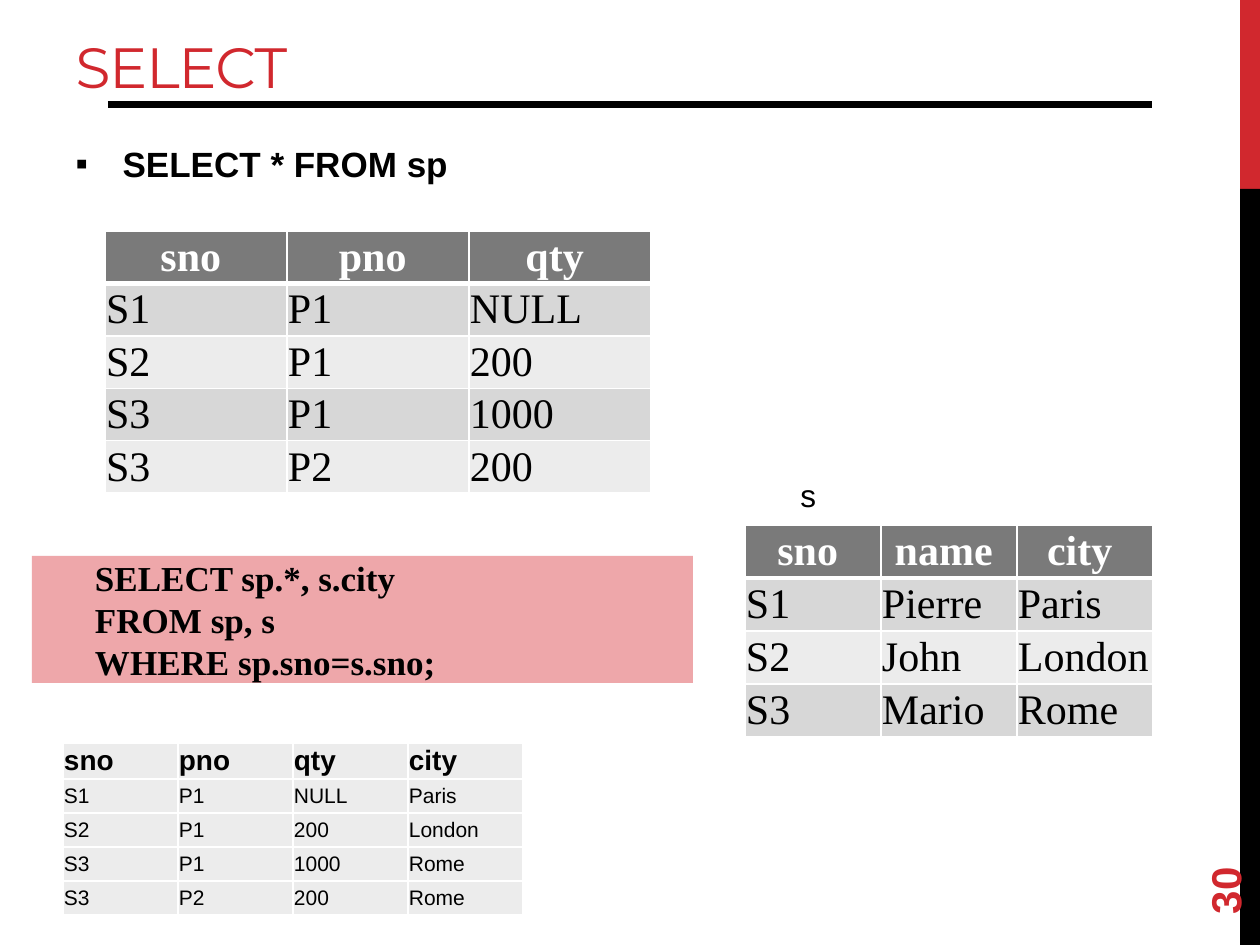
import lxml.etree
import pptx
import pptx.util
import pptx.dml.color
import pptx.oxml.ns
from pptx.enum.shapes import MSO_CONNECTOR, MSO_SHAPE
from pptx.enum.text import MSO_ANCHOR, MSO_AUTO_SIZE, PP_ALIGN

# Content
TITLE = "SELECT"
BULLET = "SELECT * FROM sp"
QUERY = ["SELECT sp.*, s.city", "FROM sp, s", "WHERE sp.sno=s.sno;"]
LABEL = "s"
NUMBER = "30"
SP = [("sno ", "pno ", "qty "),
      ("S1", "P1", "NULL"),
      ("S2", "P1", "200"),
      ("S3", "P1", "1000"),
      ("S3", "P2", "200")]
S = [("sno ", "name ", "city "),
     ("S1", "Pierre", "Paris"),
     ("S2", "John", "London"),
     ("S3", "Mario", "Rome")]
JOINED = [("sno ", "pno ", "qty ", "city "),
          ("S1 ", "P1 ", "NULL ", "Paris "),
          ("S2 ", "P1 ", "200 ", "London "),
          ("S3 ", "P1 ", "1000 ", "Rome "),
          ("S3 ", "P2 ", "200 ", "Rome ")]

# Look
RED, BLACK, WHITE = "D1282E", "000000", "FFFFFF"
PINK, HEAD, DARK, LIGHT = "EEA7AA", "7A7A7A", "D7D7D7", "ECECEC"
SANS, SERIF = "Arial", "Times New Roman"
GRAY = dict(head=(SERIF, 24, WHITE, True), body=(SERIF, 24, BLACK, False),
            top=HEAD, bands=(DARK, LIGHT), rule=3,
            aligns=(PP_ALIGN.CENTER, PP_ALIGN.LEFT))
PLAIN = dict(head=(SANS, 16, BLACK, True), body=(SANS, 12, BLACK, False),
             top=LIGHT, bands=(LIGHT, LIGHT), rule=1,
             aligns=(PP_ALIGN.JUSTIFY, PP_ALIGN.JUSTIFY))
# rows, left, top, column width, head height, row height, look
TABLES = [(SP, 105, 231, 182, 50, 50, GRAY),
          (S, 745, 525, 136, 53, 53, GRAY),
          (JOINED, 63, 743, 115, 36, 34, PLAIN)]


def px(n):
    return pptx.util.Emu(round(n * 914400 / 126))


def rgb(code):
    return pptx.dml.color.RGBColor.from_string(code)


def style(para, face, size, color, bold=False):
    font = para.font
    font.name, font.size, font.bold = face, pptx.util.Pt(size), bold
    font.color.rgb = rgb(color)


def place(shape, *box):
    shape.left, shape.top, shape.width, shape.height = map(px, box)


def rect(slide, color, *box):
    shape = slide.shapes.add_shape(MSO_SHAPE.RECTANGLE, *map(px, box))
    shape.shadow.inherit = False
    shape.fill.solid()
    shape.fill.fore_color.rgb = rgb(color)
    shape.line.fill.background()
    return shape


def label(slide, text, look, *box):
    shape = slide.shapes.add_textbox(*map(px, box))
    shape.text_frame.word_wrap = True
    para = shape.text_frame.paragraphs[0]
    para.text = text
    style(para, *look)
    return shape


def node(parent, tag, **attrs):
    return lxml.etree.SubElement(parent, pptx.oxml.ns.qn(tag), attrs)


def borders(cell, widths):
    props = cell._tc.get_or_add_tcPr()
    for spot, (side, width) in enumerate(zip("LRTB", widths)):
        line = node(props, "a:ln" + side, w=str(pptx.util.Pt(width)))
        node(node(line, "a:solidFill"), "a:srgbClr", val=WHITE)
        props.insert(spot, line)


def grid(slide, rows, left, top, wide, first, high, look):
    count = len(rows[0])
    box = left, top, wide * count, first + high * (len(rows) - 1)
    table = slide.shapes.add_table(len(rows), count, *map(px, box)).table
    for col in table.columns:
        col.width = px(wide)
    for r, row in enumerate(rows):
        table.rows[r].height = px(high if r else first)
        fill = look["bands"][(r - 1) % 2] if r else look["top"]
        over = look["rule"] if r == 1 else 1
        under = look["rule"] if r == 0 else 1
        for c, text in enumerate(row):
            cell = table.cell(r, c)
            cell.fill.solid()
            cell.fill.fore_color.rgb = rgb(fill)
            cell.vertical_anchor = MSO_ANCHOR.MIDDLE
            cell.margin_left = cell.margin_right = px(1)
            cell.margin_top = cell.margin_bottom = px(1)
            borders(cell, (1, 1, over, under))
            para = cell.text_frame.paragraphs[0]
            para.text = text
            para.alignment = look["aligns"][min(r, 1)]
            style(para, *look["body" if r else "head"])


def main():
    deck = pptx.Presentation()
    deck.slide_width, deck.slide_height = px(1260), px(945)
    slide = deck.slides.add_slide(deck.slide_layouts[1])

    # Side bars and title rule
    rect(slide, RED, 1240, 0, 20, 189)
    rect(slide, BLACK, 1240, 189, 20, 756)
    rule = slide.shapes.add_connector(MSO_CONNECTOR.STRAIGHT,
                                      *map(px, (108, 105, 1152, 105)))
    rule.line.color.rgb = rgb(BLACK)
    rule.line.width = pptx.util.Pt(4)
    node(rule._element.spPr, "a:effectLst")

    # Title
    title = slide.shapes.title
    place(title, 63, 21, 1176, 85)
    frame = title.text_frame
    frame.text = TITLE
    frame.auto_size = MSO_AUTO_SIZE.NONE
    frame.vertical_anchor = MSO_ANCHOR.BOTTOM
    para = frame.paragraphs[0]
    para.alignment = PP_ALIGN.LEFT
    style(para, "Montserrat", 32.4, RED)
    para.runs[0]._r.get_or_add_rPr().set("spc", "-60")

    # Bullet
    body = slide.placeholders[1]
    place(body, 63, 136, 1134, 708)
    body.text_frame.text = BULLET
    body.text_frame.auto_size = MSO_AUTO_SIZE.NONE
    para = body.text_frame.paragraphs[0]
    para.space_before = para.space_after = pptx.util.Pt(4.8)
    style(para, SANS, 20, BLACK, True)
    props = para._p.get_or_add_pPr()
    props.set("marL", str(px(47)))
    props.set("indent", str(px(-47)))
    mark = node(props, "a:buChar", char="▪")
    props.find(pptx.oxml.ns.qn("a:defRPr")).addprevious(mark)

    # Page number
    page = label(slide, NUMBER, (SANS, 24, RED, True), 1134, 811, 181, 50)
    page.rotation = 270
    page.text_frame.vertical_anchor = MSO_ANCHOR.MIDDLE

    # Query box
    query = rect(slide, PINK, 32, 556, 661, 127)
    frame = query.text_frame
    frame.margin_left = px(63)
    frame.margin_right = frame.margin_top = frame.margin_bottom = 0
    frame.vertical_anchor = MSO_ANCHOR.MIDDLE
    frame.text = "\n".join(QUERY)
    for para in frame.paragraphs:
        para.alignment = PP_ALIGN.JUSTIFY
        style(para, SERIF, 20, BLACK, True)

    # Tables
    for table in TABLES:
        grid(slide, *table)
    label(slide, LABEL, (SANS, 18, BLACK), 788, 470, 105, 53)

    deck.save("out.pptx")


if __name__ == "__main__":
    main()
